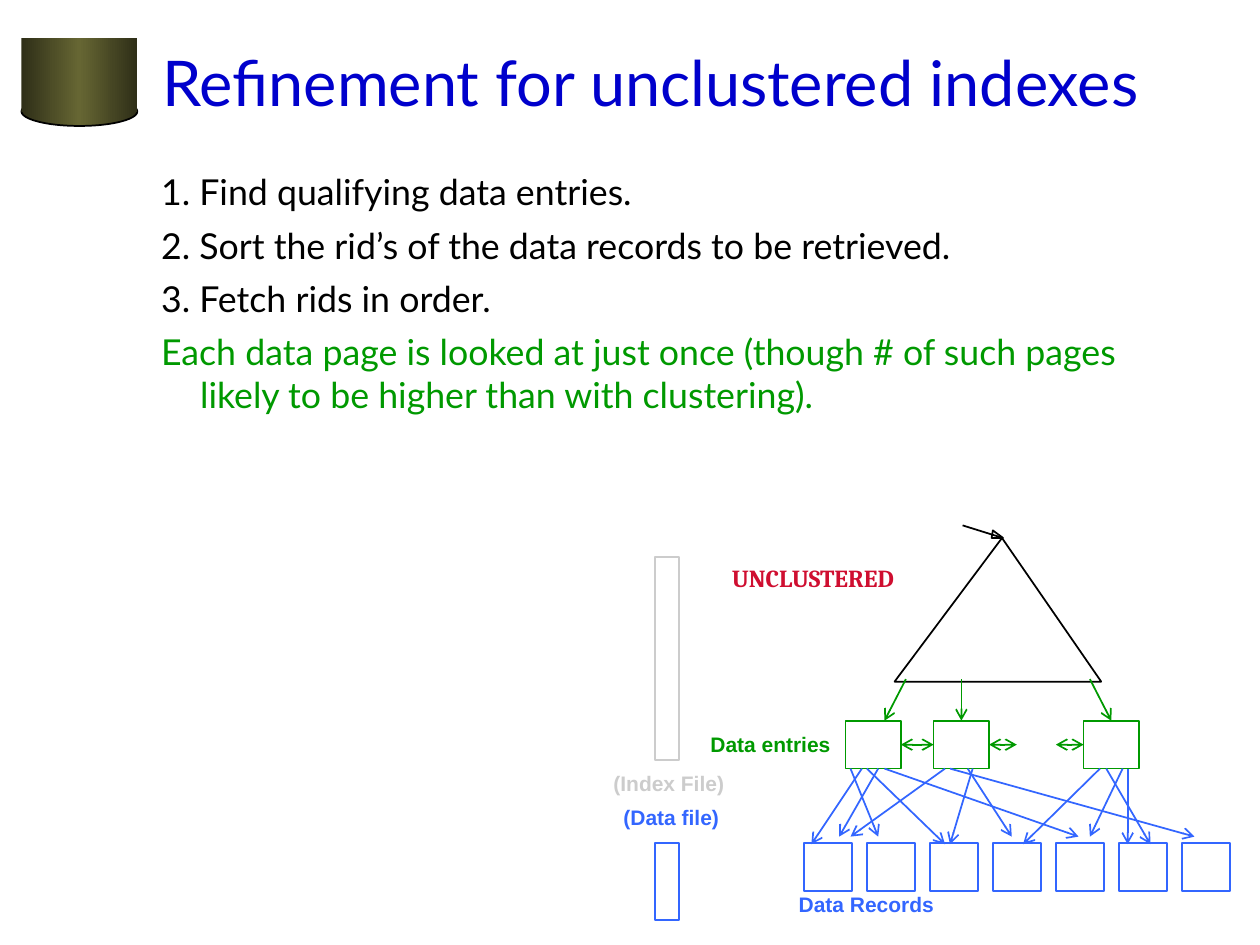
from copy import deepcopy

from lxml import etree
from pptx import Presentation
from pptx import util as u
from pptx.dml.color import RGBColor
from pptx.enum import shapes, text
from pptx.oxml import ns

BLACK = RGBColor(0x00, 0x00, 0x00)
TITLE_BLUE = RGBColor(0x00, 0x00, 0xCC)
BLUE = RGBColor(0x33, 0x66, 0xFF)
GREEN = RGBColor(0x00, 0x99, 0x00)
GREY = RGBColor(0xCC, 0xCC, 0xCC)
RED = RGBColor(0xCF, 0x0E, 0x30)
OLIVE = RGBColor(0x66, 0x66, 0x33)
DARK_OLIVE = RGBColor(0x2F, 0x2F, 0x18)

ENTRY_TOP, ENTRY_WIDTH, BOX_HEIGHT = 5.72, 0.44, 0.38
ENTRY_MIDDLE = ENTRY_TOP + BOX_HEIGHT / 2
ENTRY_BOTTOM = ENTRY_TOP + BOX_HEIGHT
RECORD_TOP, RECORD_COUNT, RECORD_STEP = 6.69, 7, 0.5
TOP, LEFT, RIGHT = 0, 1, 3

STEPS = [
    ("1. Find qualifying data entries.", BLACK),
    ("2. Sort the rid’s of the data records to be retrieved.", BLACK),
    ("3. Fetch rids in order.", BLACK),
    ("Each data page is looked at just once (though # of such pages "
     "likely to be higher than with clustering).", GREEN),
]
LABELS = [
    ("(Index File)", 4.77, 6.07, 1.08, GREY),
    ("(Data file)", 4.85, 6.34, 0.96, BLUE),
    ("Data entries", 5.54, 5.76, 1.16, GREEN),
    ("Data Records", 6.24, 7.03, 1.28, BLUE),
]
# Start x under a data entry, end x and y above a data record
RECORD_POINTERS = [
    (6.75, 6.97, 6.64), (6.84, 6.44, 6.7), (6.88, 7.5, 6.7), (6.97, 6.66, 6.64),
    (7.02, 8.56, 6.64), (7.5, 6.75, 6.64), (7.54, 9.48, 6.64), (7.72, 7.54, 6.7),
    (7.68, 8.03, 6.64), (8.73, 8.12, 6.7), (8.78, 9.13, 6.7), (8.91, 8.65, 6.64),
    (8.95, 8.95, 6.7),
]


def add_span(para, words, font="Arial", size=12, color=BLACK, bold=False):
    span = para.add_run()
    span.text = words
    span.font.name = font
    span.font.size = u.Pt(size)
    span.font.color.rgb = color
    span.font.bold = bold


class Drawer:
    def __init__(self, page, line_width=1):
        self.page = page
        self.line_width = u.Pt(line_width)

    def finish(self, shape, color):
        shape.shadow.inherit = False
        shape.fill.background()
        if color is None:
            shape.line.fill.background()
        else:
            shape.line.color.rgb = color
            shape.line.width = self.line_width
        return shape

    def outline(self, kind, left, top, width, height, color):
        shape = self.page.shapes.add_shape(
            kind, u.Inches(left), u.Inches(top), u.Inches(width), u.Inches(height))
        return self.finish(shape, color)

    def box(self, left, top, width, height, color):
        return self.outline(shapes.MSO_SHAPE.RECTANGLE, left, top, width, height, color)

    def polygon(self, points, color):
        corners = [(u.Inches(x), u.Inches(y)) for x, y in points]
        builder = self.page.shapes.build_freeform(*corners[0])
        builder.add_line_segments(corners[1:], close=True)
        return self.finish(builder.convert_to_shape(), color)

    def metal(self, shape):
        """Fill a shape with olive that darkens towards both sides."""
        shape.fill.gradient()
        shape.fill.gradient_angle = 0
        stops = shape._element.find(".//" + ns.qn("a:gsLst"))
        stops.append(deepcopy(stops[0]))
        colors = (DARK_OLIVE, OLIVE, DARK_OLIVE)
        for stop, place, color in zip(shape.fill.gradient_stops, (0, 0.5, 1), colors):
            stop.position = place
            stop.color.rgb = color

    def line(self, start, end, color, heads=()):
        """Draw a line; heads may name headEnd (start) and tailEnd (end)."""
        line = self.page.shapes.add_connector(
            shapes.MSO_CONNECTOR.STRAIGHT, *(u.Inches(n) for n in (*start, *end)))
        line.line.color.rgb = color
        line.line.width = self.line_width
        properties = line._element.spPr
        for head in heads:
            etree.SubElement(properties.find(ns.qn("a:ln")), ns.qn("a:" + head), type="arrow")
        etree.SubElement(properties, ns.qn("a:effectLst"))
        return line

    def frame(self, left, top, width, height, wrap=True):
        frame = self.page.shapes.add_textbox(
            u.Inches(left), u.Inches(top), u.Inches(width), u.Inches(height)).text_frame
        frame.word_wrap = wrap
        if not wrap:
            frame.auto_size = text.MSO_AUTO_SIZE.SHAPE_TO_FIT_TEXT
        return frame

    def label(self, words, left, top, width, height=0.3, **style):
        frame = self.frame(left, top, width, height, wrap=False)
        add_span(frame.paragraphs[0], words, bold=True, **style)


def draw_heading(draw):
    draw.metal(draw.outline(shapes.MSO_SHAPE.OVAL, 0.17, 0.77, 0.92, 0.23, BLACK))
    draw.metal(draw.box(0.17, 0.3, 0.92, 0.59, None))
    title = draw.frame(1.19, 0.02, 8.5, 1.25)
    title.vertical_anchor = text.MSO_ANCHOR.MIDDLE
    add_span(title.paragraphs[0], "Refinement for unclustered indexes",
             font="Lato", size=36, color=TITLE_BLUE)


def draw_steps(draw):
    body = draw.frame(0.68, 0.88, 8.72, 3.11)
    body.margin_top = u.Inches(0.47)
    for index, (words, color) in enumerate(STEPS):
        para = body.add_paragraph() if index else body.paragraphs[0]
        para.space_before = u.Pt(6 if index else 0)
        indents = para._p.get_or_add_pPr()
        indents.set("marL", str(u.Inches(0.81)))
        indents.set("indent", str(u.Inches(-0.31)))
        add_span(para, words, font="Lato", size=20.4, color=color)


def draw_index(draw):
    draw.box(5.2, 4.42, 0.19, 1.61, GREY)
    draw.box(5.2, 6.69, 0.19, 0.61, BLUE)
    for index in range(RECORD_COUNT):
        draw.box(6.38 + index * RECORD_STEP, RECORD_TOP, 0.38, BOX_HEIGHT, BLUE)

    tree = draw.outline(shapes.MSO_SHAPE.ISOSCELES_TRIANGLE, 7.1, 4.27, 1.64, 1.14, BLACK)
    tree.adjustments[0] = 0.52
    draw.line((7.64, 4.17), (7.96, 4.27), BLACK)
    draw.polygon([(7.88, 4.21), (7.96, 4.27), (7.87, 4.27)], BLACK)

    first, second, last = [
        draw.box(left, ENTRY_TOP, ENTRY_WIDTH, BOX_HEIGHT, GREEN) for left in (6.71, 7.41, 8.6)]
    for start, end, entry in ((7.19, 7.02, None), (7.63, 7.63, second), (8.65, 8.82, last)):
        arrow = draw.line((start, 5.39), (end, ENTRY_TOP), GREEN, ["tailEnd"])
        if entry is not None:
            arrow.end_connect(entry, TOP)
    for start, end, before, after in (
            (7.15, 7.41, first, second), (7.85, 8.07, second, None), (8.38, 8.6, None, last)):
        arrow = draw.line((start, ENTRY_MIDDLE), (end, ENTRY_MIDDLE), GREEN,
                          ["headEnd", "tailEnd"])
        if before is not None:
            arrow.begin_connect(before, RIGHT)
        if after is not None:
            arrow.end_connect(after, LEFT)

    for start, end, bottom in RECORD_POINTERS:
        draw.line((start, ENTRY_BOTTOM), (end, bottom), BLUE, ["tailEnd"])

    for words, left, top, width, color in LABELS:
        draw.label(words, left, top, width, color=color)
    draw.label("UNCLUSTERED", 5.71, 4.42, 1.49, 0.33, font="Cambria", size=14, color=RED)


def main():
    deck = Presentation()
    deck.slide_width, deck.slide_height = u.Inches(10), u.Inches(7.5)
    draw = Drawer(deck.slides.add_slide(deck.slide_layouts[6]))
    draw_heading(draw)
    draw_steps(draw)
    draw_index(draw)
    deck.save("out.pptx")


if __name__ == "__main__":
    main()
